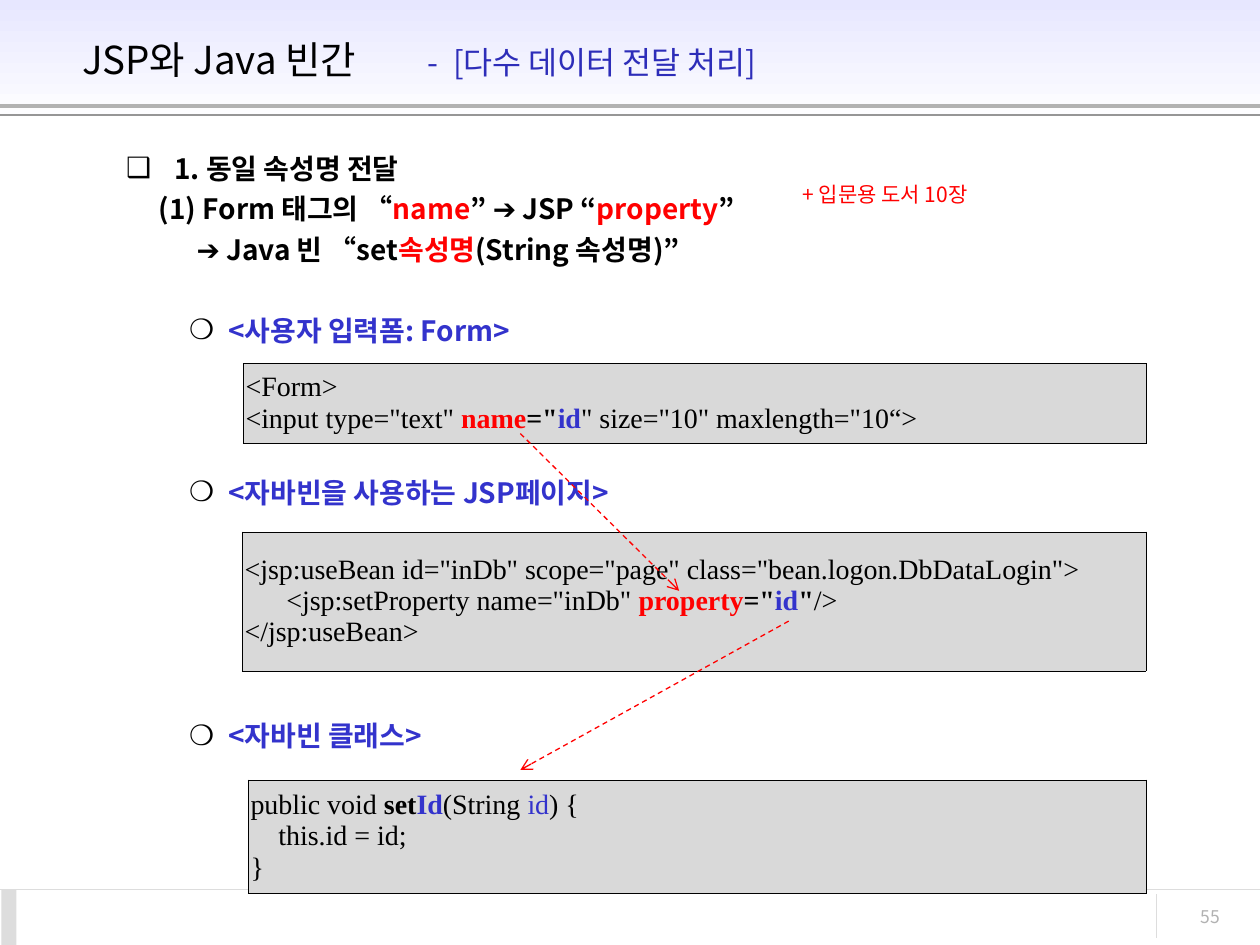
from typing import NamedTuple

from lxml import etree
from pptx import Presentation
from pptx import util as u
from pptx.dml.color import RGBColor
from pptx.enum import dml, shapes, text
from pptx.oxml import ns

SANS, SERIF, SYMBOL = "Noto Sans CJK KR", "Times New Roman", "Arial"
BLACK, RED, BLUE, RULE, CODE_FILL = "000000", "FF0000", "3333CC", "DDDDDD", "D9D9D9"
LINE_GAP, LINE_PITCH = 4, 23.15  # points, in the outline


class Box(NamedTuple):
    """A region in centimetres."""
    left: float
    top: float
    width: float
    height: float

    def lengths(self):
        return [u.Cm(value) for value in self]


def colour(hex_string):
    return RGBColor.from_string(hex_string)


def add_xml(parent, tag, **attributes):
    return etree.SubElement(parent, ns.qn(tag), attributes)


def write(paragraph, parts, size, font=SANS):
    """Fill a paragraph with (words, colour, bold) parts."""
    for words, hex_string, bold in parts:
        run = paragraph.add_run()
        run.text = words
        run.font.size = u.Pt(size)
        run.font.bold = bold
        run.font.color.rgb = colour(hex_string)
        run.font.name = SYMBOL if words == "➔" else font


def place(slide, placeholder, box):
    """Position a placeholder and bring it in front of the background."""
    placeholder.left, placeholder.top, placeholder.width, placeholder.height = box.lengths()
    placeholder.text_frame.auto_size = text.MSO_AUTO_SIZE.NONE
    slide.shapes._spTree.append(placeholder._element)
    return placeholder.text_frame


def add_line(slide, start, end, hex_string, width=0.75):
    line = slide.shapes.add_connector(
        shapes.MSO_CONNECTOR.STRAIGHT, *[u.Cm(value) for value in (*start, *end)])
    line.line.color.rgb = colour(hex_string)
    line.line.width = u.Pt(width)
    add_xml(line._element.spPr, "a:effectLst")
    return line


def add_mapping_arrow(slide, start, end):
    arrow = add_line(slide, start, end, RED)
    arrow.line.dash_style = dml.MSO_LINE.DASH
    add_xml(arrow.line._get_or_add_ln(), "a:tailEnd", type="arrow")


def add_block(slide, box):
    block = slide.shapes.add_shape(shapes.MSO_SHAPE.RECTANGLE, *box.lengths())
    block.shadow.inherit = False
    block.line.fill.background()
    return block


def add_label(slide, box, words, size, hex_string, wrap=True, align=text.PP_ALIGN.LEFT):
    frame = slide.shapes.add_textbox(*box.lengths()).text_frame
    frame.word_wrap = wrap
    frame.paragraphs[0].alignment = align
    write(frame.paragraphs[0], [(words, hex_string, False)], size)


def add_header(slide, box):
    band = add_block(slide, box)
    band.fill.gradient()
    band.fill.gradient_angle = 270
    for stop, hex_string, position in zip(band.fill.gradient_stops, ("E7E7FF", "FFFFFF"), (0, 1)):
        stop.color.rgb = colour(hex_string)
        stop.position = position
    for drop, hex_string, width in ((2.13, "B2B2B2", 2.25), (2.32, "969696", 0.75)):
        y = box.top + drop
        add_line(slide, (box.left, y), (box.left + box.width, y), hex_string, width)

    frame = place(slide, slide.shapes.title, Box(box.left + 1.4, box.top + 0.32, 21.92, 1.73))
    frame.vertical_anchor = text.MSO_ANCHOR.MIDDLE
    heading = frame.paragraphs[0]
    heading.alignment = text.PP_ALIGN.LEFT
    tabs = add_xml(heading._p.get_or_add_pPr(), "a:tabLst")
    for stop in (6.96, 7.48):
        add_xml(tabs, "a:tab", pos=str(u.Cm(stop)), algn="l")
    write(heading, [("JSP와 Java 빈간\t", BLACK, False)], 22)
    write(heading, [("-\t[다수 데이터 전달 처리]", "2D2DB9", False)], 18)


def add_footer(slide, box, number):
    right = box.left + box.width
    add_line(slide, (box.left, box.top), (right, box.top), RULE)
    corner = add_block(slide, Box(box.left + 0.03, box.top, 0.3, box.height))
    corner.fill.solid()
    corner.fill.fore_color.rgb = colour(RULE)
    divider = right - 2.08
    add_line(slide, (divider, box.top + 0.1), (divider, box.top + 0.97), RULE)
    add_label(slide, Box(right - 2.9, box.top + 0.2, 2.34, 0.84), number, 10, "B2B2B2",
              align=text.PP_ALIGN.RIGHT)


def add_outline(slide, box, items):
    """Items are (bullet, left margin, hanging indent, skipped lines before, parts)."""
    frame = place(slide, slide.placeholders[1], box)
    for index, (bullet, margin, hanging, skipped, parts) in enumerate(items):
        paragraph = frame.add_paragraph() if index else frame.paragraphs[0]
        paragraph.space_before = u.Pt(LINE_GAP + skipped * LINE_PITCH if index else 0)
        properties = paragraph._p.get_or_add_pPr()
        properties.set("marL", str(u.Cm(margin)))
        properties.set("indent", str(-u.Cm(hanging)))
        if bullet:
            add_xml(add_xml(properties, "a:buClr"), "a:srgbClr", val=BLACK)
            add_xml(properties, "a:buFont", typeface=SYMBOL)
            add_xml(properties, "a:buChar", char=bullet)
        else:
            add_xml(properties, "a:buNone")
        write(paragraph, parts, 16)


def add_code(slide, box, lines):
    """A one-cell table that holds a listing."""
    table = slide.shapes.add_table(1, 1, *box.lengths()).table
    table.first_row = table.horz_banding = False
    cell = table.cell(0, 0)
    cell.vertical_anchor = text.MSO_ANCHOR.MIDDLE
    cell.margin_left = cell.margin_right = u.Cm(0.05)
    properties = cell._tc.get_or_add_tcPr()
    for side in ("a:lnL", "a:lnR", "a:lnT", "a:lnB"):
        border = add_xml(properties, side, w=str(u.Pt(0.11)))
        add_xml(add_xml(border, "a:solidFill"), "a:srgbClr", val=BLACK)
    cell.fill.solid()
    cell.fill.fore_color.rgb = colour(CODE_FILL)
    for index, parts in enumerate(lines):
        paragraph = cell.text_frame.add_paragraph() if index else cell.text_frame.paragraphs[0]
        write(paragraph, parts, 16, SERIF)


def plain(words):
    return words, BLACK, False


def strong(words, hex_string=BLACK):
    return words, hex_string, True


def section(skipped, words):
    return "❍", 2.06, 0.79, skipped, [strong(words, BLUE)]


OUTLINE = [
    ("❑", 0.97, 0.97, 0, [strong("1. 동일 속성명 전달")]),
    (None, 0.66, 0, 0, [strong("(1) Form 태그의 “"), strong("name", RED), strong("” "),
                        strong("➔"), strong(" JSP “"), strong("property", RED), strong("”")]),
    (None, 1.42, 0, 0, [strong("➔"), strong(" Java 빈 “set"), strong("속성명", RED),
                        strong("(String 속성명)”")]),
    section(1, "<사용자 입력폼: Form>"),
    section(3, "<자바빈을 사용하는 JSP페이지>"),
    section(5, "<자바빈 클래스>"),
]
FORM = [
    [plain("<Form>")],
    [plain('<input type="text" '), strong("name", RED), strong('="'), strong("id", BLUE),
     plain('" size="10" maxlength="10“>')],
]
PAGE = [
    [plain('<jsp:useBean id="inDb" scope="page" class="bean.logon.DbDataLogin">')],
    [plain('      <jsp:setProperty name="inDb" '), strong("property", RED), strong('="'),
     strong("id", BLUE), strong('"'), plain("/>")],
    [plain("</jsp:useBean>")],
]
BEAN = [
    [plain("public void "), strong("set"), strong("Id", BLUE), plain("(String "),
     ("id", BLUE, False), plain(") {")],
    [plain("    this.id = id;")],
    [plain("}")],
]


def main():
    deck = Presentation()
    deck.slide_width, deck.slide_height = u.Cm(25.4), u.Cm(19.05)
    slide = deck.slides.add_slide(deck.slide_layouts[1])
    add_header(slide, Box(0, 0, 25.4, 2.54))
    add_footer(slide, Box(0, 17.93, 25.4, 1.12), "55")
    add_outline(slide, Box(2.29, 2.92, 20.57, 14), OUTLINE)
    add_label(slide, Box(15.93, 3.53, 4.22, 0.76), "+ 입문용 도서 10장", 12, RED, wrap=False)
    add_code(slide, Box(4.9, 7.32, 18.21, 1.45), FORM)
    add_code(slide, Box(4.88, 10.72, 18.22, 2.8), PAGE)
    add_code(slide, Box(5, 15.72, 18.11, 2.13), BEAN)
    add_mapping_arrow(slide, (10.49, 8.74), (13.69, 11.91))
    add_mapping_arrow(slide, (15.9, 12.52), (10.49, 15.52))
    deck.save("out.pptx")


if __name__ == "__main__":
    main()
